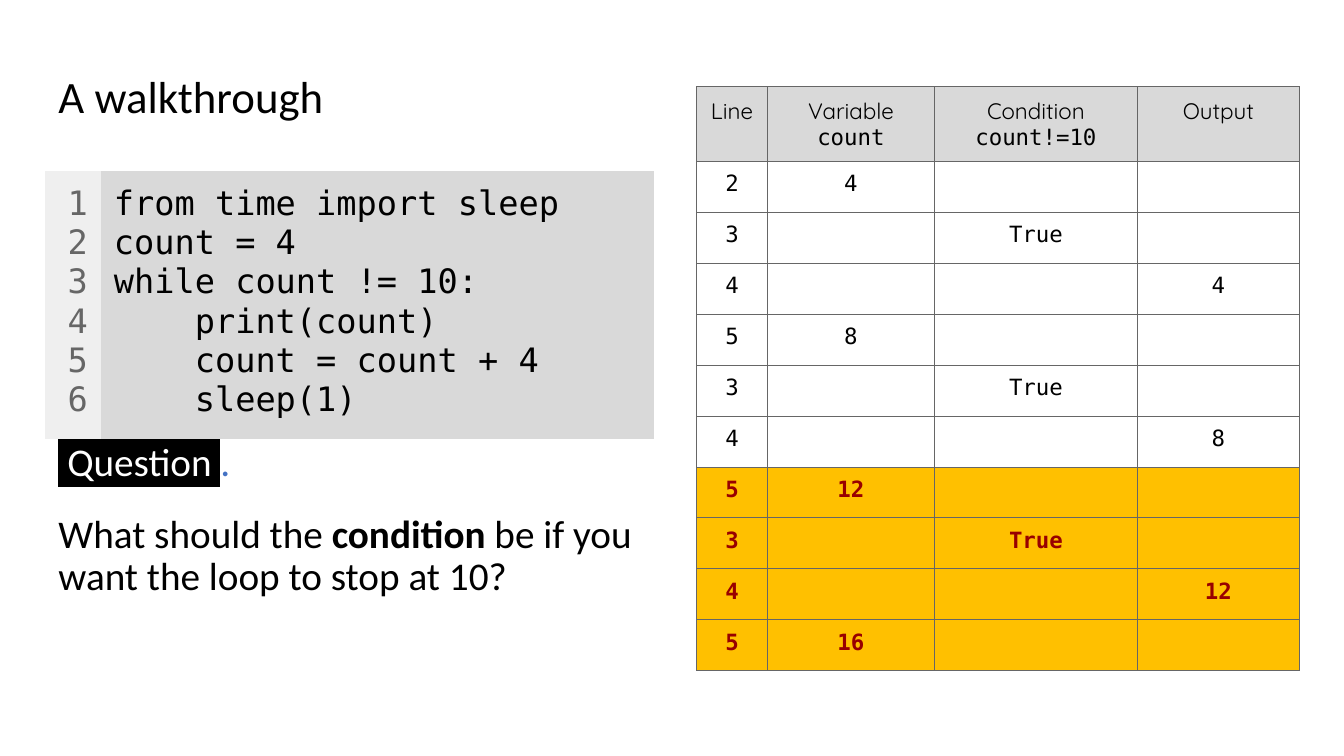
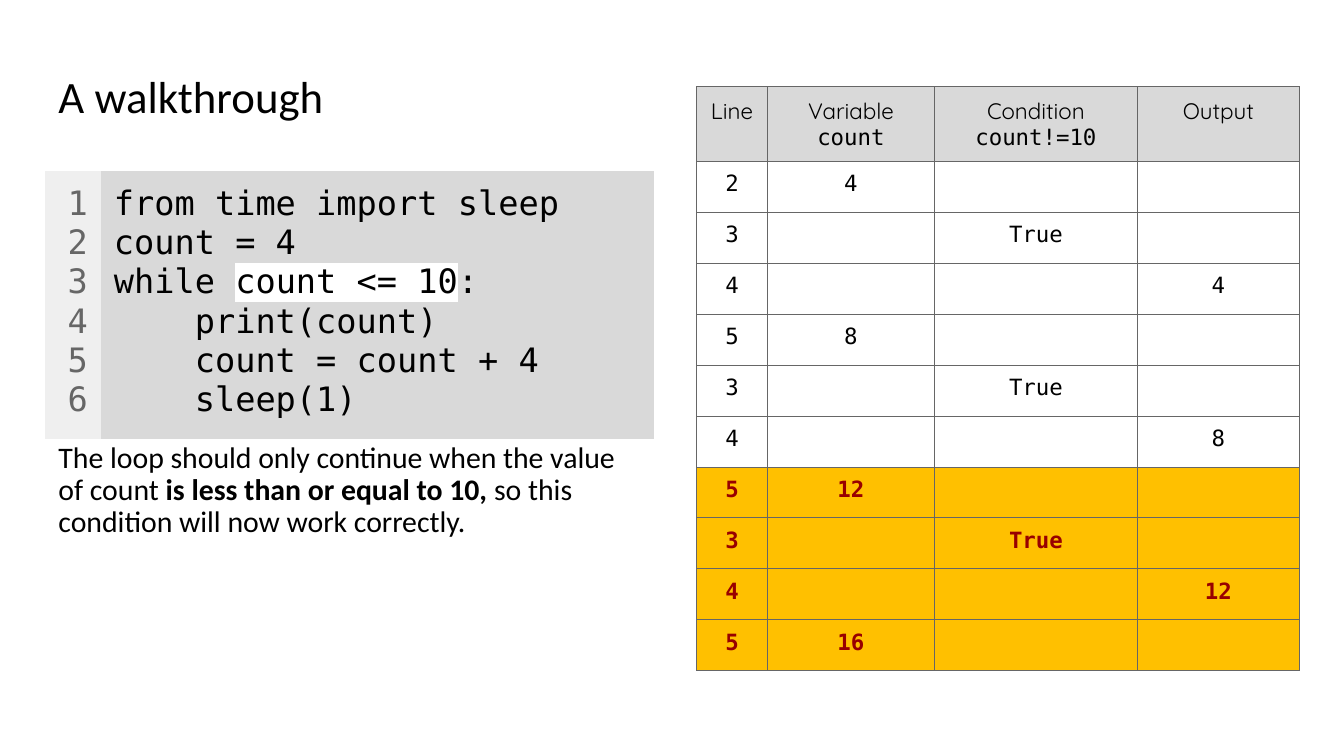
import pptx
import pptx.util
import pptx.dml.color
import pptx.enum.text
import pptx.oxml
import pptx.oxml.ns
from pptx.util import Inches

# Shared look
SANS, MONO, HEADING = "Calibri", "DejaVu Sans Mono", "Quicksand"
BLACK, WHITE, GREY, GUTTER = "000000", "FFFFFF", "D9D9D9", "EFEFEF"
LINE_GREY, BLUE, AMBER, DARK_RED = "666666", "4472C4", "FFC000", "980000"
ALIGN = pptx.enum.text.PP_ALIGN
ANCHOR = pptx.enum.text.MSO_ANCHOR

# Content: a paragraph is a list of (text, style changes) runs
TITLE = "A walkthrough"
CODE_START = ["from time import sleep", "count = 4"]
CODE_END = ["    print(count)", "    count = count + 4", "    sleep(1)"]
SLIDES = [
    {
        "condition": [("while count != 10:", {})],
        "size": 28,
        "body": [
            [(" Question ", {"color": WHITE, "highlight": BLACK}),
             (".", {"color": BLUE})],
            [("What should the ", {}), ("condition ", {"bold": True}),
             ("be if you want the loop to stop at 10?", {})],
        ],
        "spacing": [(0, 0), (21.3, 21.3)],
    },
    {
        "condition": [("while ", {}), ("count <= 10", {"highlight": WHITE}), (":", {})],
        "size": 21.3,
        "body": [
            [("The loop should only continue when the value of count ", {}),
             ("is less than or equal to 10,", {"bold": True}),
             (" so this condition will now work correctly.", {})],
        ],
        "spacing": [(0, 21.3)],
    },
]
TRACE_HEADINGS = [("Line",), ("Variable", "count"), ("Condition", "count!=10"), ("Output",)]
TRACE_ROWS = [
    ("2", "4", "", ""),
    ("3", "", "True", ""),
    ("4", "", "", "4"),
    ("5", "8", "", ""),
    ("3", "", "True", ""),
    ("4", "", "", "8"),
    ("5", "12", "", ""),
    ("3", "", "True", ""),
    ("4", "", "", "12"),
    ("5", "16", "", ""),
]
FIRST_HIGHLIGHTED_ROW = 6


def rgb(color):
    return pptx.dml.color.RGBColor.from_string(color)


def drawing_xml(text):
    return pptx.oxml.parse_xml(text.replace(">", f" {pptx.oxml.ns.nsdecls('a')}>", 1))


def format_run(run, size, font, color=BLACK, bold=False, highlight=None):
    run.font.size = pptx.util.Pt(size)
    run.font.name = font
    run.font.bold = bold
    run.font.color.rgb = rgb(color)
    if highlight:
        fill = run.font._element.find(pptx.oxml.ns.qn("a:solidFill"))
        fill.addnext(drawing_xml(
            f'<a:highlight><a:srgbClr val="{highlight}"/></a:highlight>'))


def write(text_frame, paragraphs, align=ALIGN.LEFT, **style):
    for index, runs in enumerate(paragraphs):
        paragraph = text_frame.add_paragraph() if index else text_frame.paragraphs[0]
        paragraph.alignment = align
        for text, changes in runs:
            run = paragraph.add_run()
            run.text = text
            format_run(run, **{**style, **changes})


def set_margins(target, inset):
    target.margin_left = target.margin_right = Inches(inset)
    target.margin_top = target.margin_bottom = Inches(inset)


def place(placeholder, left, top, width, height, anchor):
    placeholder.left, placeholder.top = Inches(left), Inches(top)
    placeholder.width, placeholder.height = Inches(width), Inches(height)
    text_frame = placeholder.text_frame
    text_frame.auto_size = pptx.enum.text.MSO_AUTO_SIZE.NONE
    text_frame.word_wrap = True
    text_frame.vertical_anchor = anchor
    set_margins(text_frame, 0.13)
    return text_frame


def add_table(slide, left, top, widths, heights):
    table = slide.shapes.add_table(
        len(heights), len(widths), Inches(left), Inches(top),
        Inches(sum(widths)), Inches(sum(heights))).table
    table.first_row = table.horz_banding = False
    for column, width in zip(table.columns, widths):
        column.width = Inches(width)
    for row, height in zip(table.rows, heights):
        row.height = Inches(height)
    return table


def format_cell(cell, fill, inset, border=None):
    set_margins(cell, inset)
    cell.fill.solid()
    cell.fill.fore_color.rgb = rgb(fill)
    paint = (f'<a:solidFill><a:srgbClr val="{border}"/></a:solidFill>'
             if border else "<a:noFill/>")
    for index, side in enumerate("LRTB"):
        cell._tc.get_or_add_tcPr().insert(
            index, drawing_xml(f'<a:ln{side} w="9525">{paint}</a:ln{side}>'))


def add_code(slide, condition):
    lines = ([[(line, {})] for line in CODE_START] + [condition]
             + [[(line, {})] for line in CODE_END])
    numbers = [[(str(number), {})] for number in range(1, len(lines) + 1)]
    table = add_table(slide, 0.45, 1.7, [0.55, 5.49], [2.66])
    columns = [(numbers, ALIGN.RIGHT, LINE_GREY, GUTTER), (lines, ALIGN.LEFT, BLACK, GREY)]
    for index, (paragraphs, align, color, fill) in enumerate(columns):
        cell = table.cell(0, index)
        format_cell(cell, fill, 0.13)
        write(cell.text_frame, paragraphs, align, size=24, font=MONO, color=color)


def add_trace(slide):
    table = add_table(slide, 6.91, 0.86, [0.7, 1.66, 2.01, 1.61],
                      [0.74] + [0.477] * len(TRACE_ROWS))
    for column, lines in enumerate(TRACE_HEADINGS):
        cell = table.cell(0, column)
        format_cell(cell, GREY, 0.1, LINE_GREY)
        paragraphs = [[(line, {"font": font})] for line, font in zip(lines, (HEADING, MONO))]
        write(cell.text_frame, paragraphs, ALIGN.CENTER, size=16)
    for index, values in enumerate(TRACE_ROWS):
        marked = index >= FIRST_HIGHLIGHTED_ROW
        for column, value in enumerate(values):
            cell = table.cell(index + 1, column)
            format_cell(cell, AMBER if marked else WHITE, 0.1, LINE_GREY)
            if value:
                write(cell.text_frame, [[(value, {})]], ALIGN.CENTER, size=16, font=MONO,
                      color=DARK_RED if marked else BLACK, bold=marked)


def add_body(placeholder, content):
    text_frame = place(placeholder, 0.45, 4.26, 5.97, 2.11, ANCHOR.TOP)
    write(text_frame, content["body"], size=content["size"], font=SANS)
    for paragraph, (before, after) in zip(text_frame.paragraphs, content["spacing"]):
        paragraph.line_spacing = 0.9
        paragraph.space_before = pptx.util.Pt(before)
        paragraph.space_after = pptx.util.Pt(after)
        # No bullet or hanging indent
        properties = paragraph._p.get_or_add_pPr()
        properties.set("marL", "0")
        properties.set("indent", "0")
        properties.append(drawing_xml("<a:buNone></a:buNone>"))


def main():
    presentation = pptx.Presentation()
    presentation.slide_width, presentation.slide_height = Inches(13.33), Inches(7.5)
    for content in SLIDES:
        slide = presentation.slides.add_slide(presentation.slide_layouts[1])
        title_frame = place(slide.shapes.title, 0.45, 0.47, 12.43, 1.02, ANCHOR.MIDDLE)
        write(title_frame, [[(TITLE, {})]], size=32, font=SANS)
        title_frame.paragraphs[0].line_spacing = 0.9
        add_code(slide, content["condition"])
        add_body(slide.placeholders[1], content)
        add_trace(slide)
    presentation.save("out.pptx")


if __name__ == "__main__":
    main()
